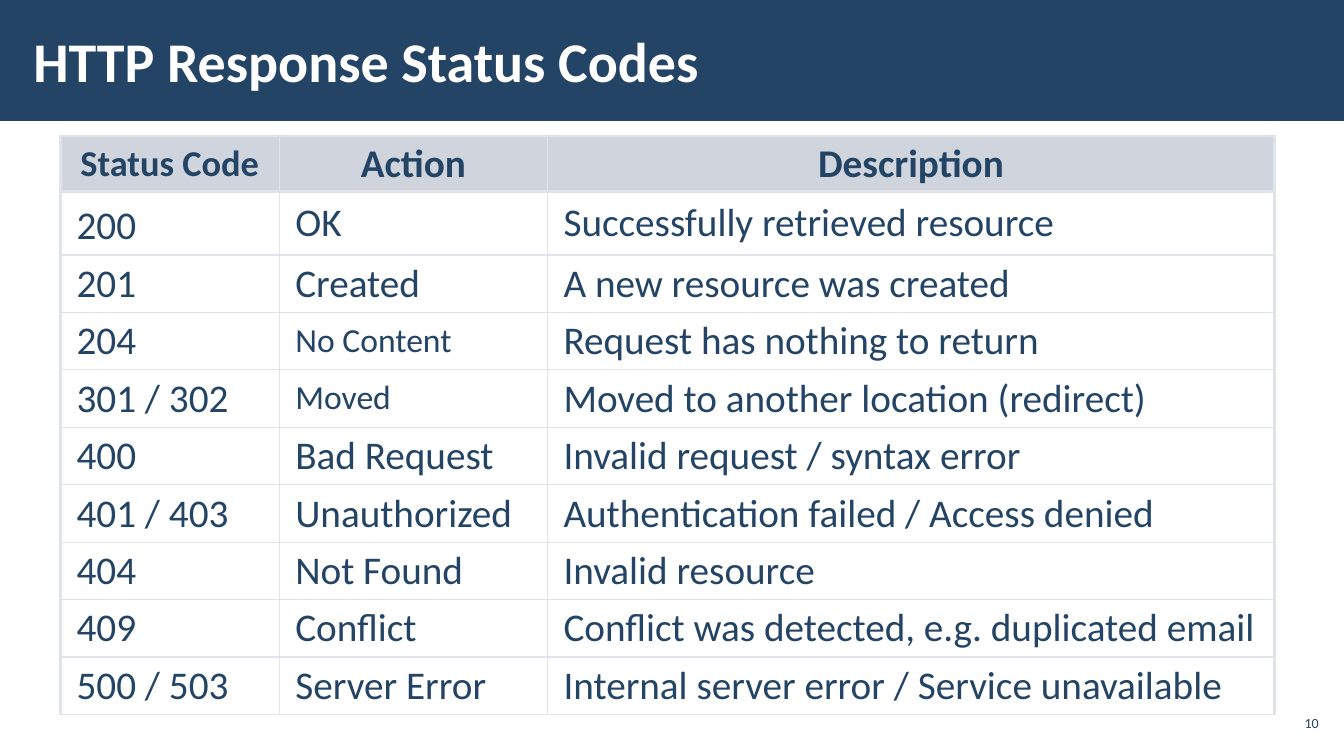
"""Build the slide that lists common HTTP response status codes."""
from dataclasses import dataclass
from typing import Any, Optional

import lxml.etree
import pptx
import pptx.dml.color
import pptx.enum.shapes
import pptx.enum.text
import pptx.oxml.ns
import pptx.util

Inches = pptx.util.Inches
Pt = pptx.util.Pt
Align = pptx.enum.text.PP_ALIGN
RGBColor = pptx.dml.color.RGBColor

NAVY = RGBColor(0x23, 0x44, 0x65)
WHITE = RGBColor(0xFF, 0xFF, 0xFF)
HEADER_GRAY = RGBColor(0xA3, 0xAB, 0xBC)
BORDER_GRAY = RGBColor(0xE0, 0xE3, 0xE9)

FONT_NAME = "Calibri"
THIN, THICK = Pt(1), Pt(2.25)
TIGHT = 0.95
COLUMN_WIDTHS = (2.17, 2.66, 7.21)
HEADER_HEIGHT, FIRST_HEIGHT, BODY_HEIGHT = 0.55, 0.63, 0.57


@dataclass(frozen=True)
class CellText:
    text: str
    size: float = 28
    spacing: Any = None
    bold: bool = False
    alignment: Optional[Align] = None


@dataclass(frozen=True)
class TextBox:
    content: CellText
    left: float
    top: float
    width: float
    height: float
    color: RGBColor
    side_margin: float


def heading(text: str, size: float = 28) -> CellText:
    """Describe a header cell."""
    return CellText(text, size, TIGHT, True, Align.CENTER)


ROWS: list[tuple[CellText, CellText, CellText]] = [
    (heading("Status Code", 26), heading("Action"), heading("Description")),
    (CellText("200", spacing=Pt(38)), CellText("OK"),
     CellText("Successfully retrieved resource")),
    (CellText("201"), CellText("Created"), CellText("A new resource was created")),
    (CellText("204"), CellText("No Content", 24),
     CellText("Request has nothing to return", spacing=TIGHT)),
    (CellText("301 / 302"), CellText("Moved", 24),
     CellText("Moved to another location (redirect)", spacing=TIGHT)),
    (CellText("400", spacing=TIGHT), CellText("Bad Request"),
     CellText("Invalid request / syntax error")),
    (CellText("401 / 403", spacing=TIGHT), CellText("Unauthorized"),
     CellText("Authentication failed / Access denied")),
    (CellText("404", spacing=TIGHT), CellText("Not Found"),
     CellText("Invalid resource")),
    (CellText("409", spacing=TIGHT), CellText("Conflict"),
     CellText("Conflict was detected, e.g. duplicated email")),
    (CellText("500 / 503", spacing=TIGHT), CellText("Server Error"),
     CellText("Internal server error / Service unavailable")),
]

TEXT_BOXES = [
    TextBox(CellText("HTTP Response Status Codes", 40, bold=True),
            0.21, 0.11, 10.39, 0.97, WHITE, 0.12),
    TextBox(CellText("10", 10, alignment=Align.RIGHT),
            12.65, 7, 0.47, 0.34, NAVY, 0.04),
]


def apply_format(target: Any, values: dict[str, Any]) -> None:
    """Set each named attribute of the target."""
    for name, value in values.items():
        setattr(target, name, value)


def write_text(paragraph: Any, content: CellText, color: RGBColor) -> None:
    """Fill a paragraph with formatted text."""
    run = paragraph.add_run()
    run.text = content.text
    apply_format(paragraph, {"alignment": content.alignment,
                             "line_spacing": content.spacing})
    apply_format(run.font, {"name": FONT_NAME, "size": Pt(content.size),
                            "bold": content.bold})
    run.font.color.rgb = color


def add_text_box(slide: Any, box: TextBox) -> None:
    """Draw a text box."""
    shape = slide.shapes.add_textbox(Inches(box.left), Inches(box.top),
                                     Inches(box.width), Inches(box.height))
    apply_format(shape.text_frame, {
        "word_wrap": True,
        "vertical_anchor": pptx.enum.text.MSO_ANCHOR.MIDDLE,
        "margin_left": Inches(box.side_margin),
        "margin_right": Inches(box.side_margin),
        "margin_top": Inches(0.04),
        "margin_bottom": Inches(0.04),
    })
    write_text(shape.text_frame.paragraphs[0], box.content, box.color)


def add_borders(cell: Any, widths: dict[str, int]) -> None:
    """Draw the cell borders, keyed by side letter."""
    qualified = pptx.oxml.ns.qn
    properties = cell._tc.get_or_add_tcPr()
    for side, width in widths.items():
        line = lxml.etree.SubElement(properties, qualified(f"a:ln{side}"), w=str(width))
        fill = lxml.etree.SubElement(line, qualified("a:solidFill"))
        lxml.etree.SubElement(fill, qualified("a:srgbClr"), val=str(BORDER_GRAY))


def fill_header(cell: Any) -> None:
    """Give a header cell its half-transparent fill."""
    cell.fill.solid()
    cell.fill.fore_color.rgb = HEADER_GRAY
    color = cell._tc.tcPr.find(".//" + pptx.oxml.ns.qn("a:solidFill") + "[last()]/"
                               + pptx.oxml.ns.qn("a:srgbClr") + f"[@val='{HEADER_GRAY}']")
    lxml.etree.SubElement(color, pptx.oxml.ns.qn("a:alpha"), val="50000")


def add_status_table(slide: Any) -> None:
    """Draw the table of status codes."""
    heights = [HEADER_HEIGHT, FIRST_HEIGHT] + [BODY_HEIGHT] * (len(ROWS) - 2)
    table = slide.shapes.add_table(
        len(ROWS), len(COLUMN_WIDTHS), Inches(0.6), Inches(1.35),
        Inches(sum(COLUMN_WIDTHS)), Inches(sum(heights))).table
    apply_format(table, {"first_row": False, "horz_banding": False})
    for column, width in zip(table.columns, COLUMN_WIDTHS):
        column.width = Inches(width)
    for row, height in zip(table.rows, heights):
        row.height = Inches(height)
    last_column = len(COLUMN_WIDTHS) - 1
    for row_index, contents in enumerate(ROWS):
        for column_index, content in enumerate(contents):
            cell = table.cell(row_index, column_index)
            apply_format(cell, {
                "margin_left": Inches(0.16), "margin_right": Inches(0.16),
                "margin_top": Inches(0.05), "margin_bottom": Inches(0.05),
                "vertical_anchor": pptx.enum.text.MSO_ANCHOR.MIDDLE,
            })
            add_borders(cell, {
                "L": THICK if column_index == 0 else THIN,
                "R": THICK if column_index == last_column else THIN,
                "T": THICK if row_index <= 1 else THIN,
                "B": THICK if row_index == 0 else THIN,
            })
            if row_index == 0:
                fill_header(cell)
            else:
                cell.fill.background()
            write_text(cell.text_frame.paragraphs[0], content, NAVY)


def add_banner(slide: Any, width: int) -> None:
    """Draw the title banner."""
    banner = slide.shapes.add_shape(
        pptx.enum.shapes.MSO_SHAPE.RECTANGLE, 0, 0, width, Inches(1.2))
    banner.shadow.inherit = False
    banner.fill.solid()
    banner.fill.fore_color.rgb = NAVY
    banner.line.fill.background()


def main() -> None:
    """Create and save the presentation."""
    presentation = pptx.Presentation()
    apply_format(presentation, {"slide_width": Inches(13.33),
                                "slide_height": Inches(7.5)})
    slide = presentation.slides.add_slide(presentation.slide_layouts[6])
    add_banner(slide, presentation.slide_width)
    for box in TEXT_BOXES:
        add_text_box(slide, box)
    add_status_table(slide)
    presentation.save("out.pptx")


if __name__ == "__main__":
    main()
